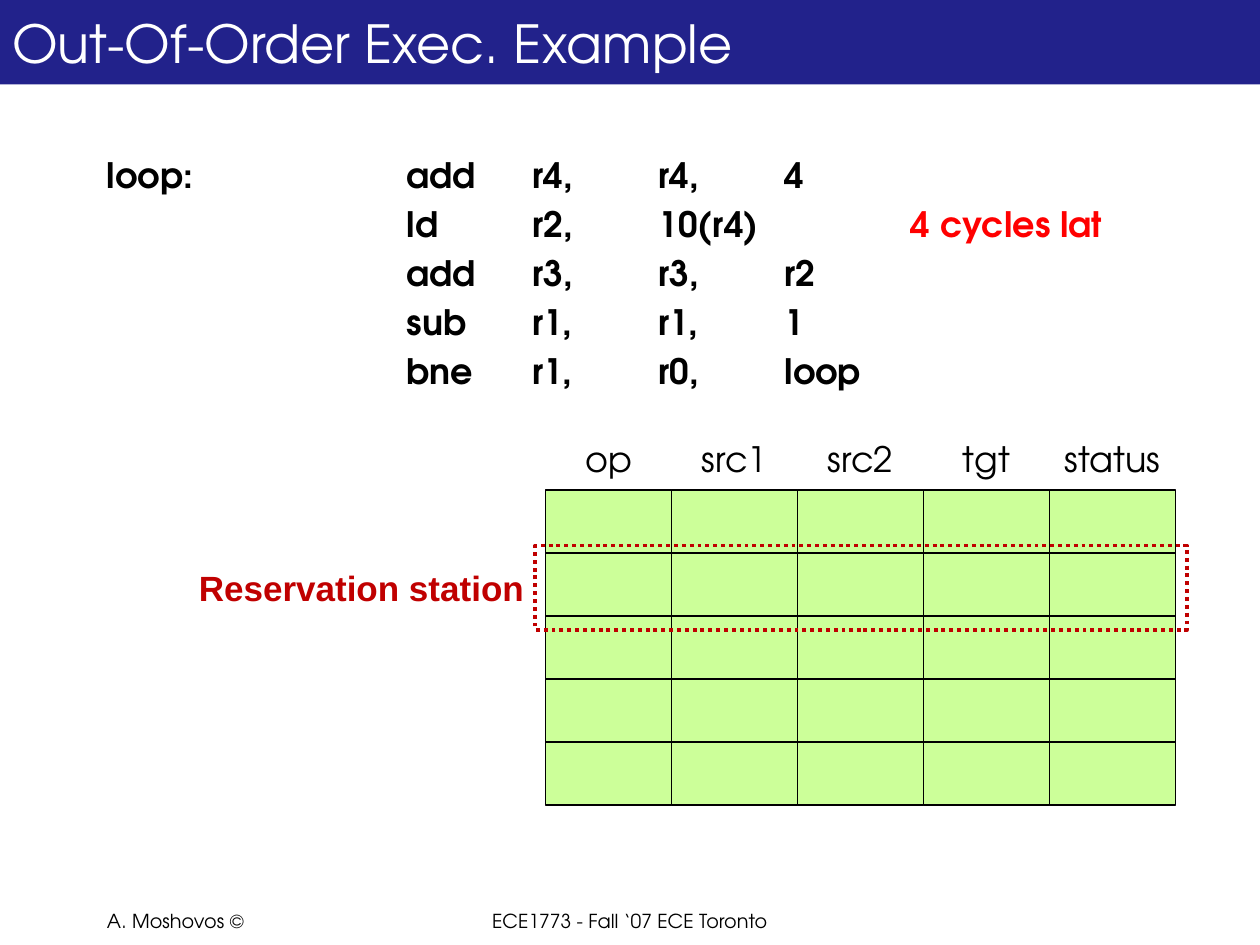
"""Build the out-of-order execution slide: a code loop above a reservation station grid."""
from dataclasses import dataclass

from lxml.etree import SubElement
from pptx import Presentation
from pptx.dml.color import RGBColor
from pptx.enum.dml import MSO_LINE
from pptx.enum.shapes import MSO_SHAPE
from pptx.enum.text import MSO_ANCHOR, PP_ALIGN
from pptx.oxml.ns import qn
from pptx.util import Inches, Pt


@dataclass(frozen=True)
class Theme:
    font: str = "TeX Gyre Adventor"
    label_font: str = "Arial"
    title_size: int = 30
    body_size: int = 20
    footer_size: int = 11
    ink: str = "000000"
    paper: str = "FFFFFF"
    banner: str = "22228B"
    cell: str = "CCFF99"
    latency: str = "FF0000"
    station: str = "C00000"


THEME = Theme()


@dataclass(frozen=True)
class Box:
    left: float
    top: float
    width: float
    height: float

    def lengths(self) -> tuple:
        return tuple(Inches(value) for value in (self.left, self.top, self.width, self.height))


@dataclass(frozen=True)
class Label:
    text: str
    box: Box
    size: int = THEME.body_size
    color: str = THEME.ink
    font: str = THEME.font
    bold: bool = False
    align: PP_ALIGN = PP_ALIGN.LEFT
    anchor: MSO_ANCHOR = MSO_ANCHOR.TOP
    wrap: bool = True


@dataclass(frozen=True)
class Instruction:
    code: str
    note: str = ""


INSTRUCTIONS = (
    Instruction("loop:\t\tadd\tr4,\tr4,\t4"),
    Instruction("\t\t\tld\tr2,\t10(r4)\t\t", "4 cycles lat"),
    Instruction("\t\t\tadd\tr3,\tr3,\tr2"),
    Instruction("\t\t\tsub\tr1,\tr1,\t1"),
    Instruction("\t\t\tbne\tr1,\tr0,\tloop"),
)
CODE_BOX = Box(0.75, 1.17, 8.5, 1.7)
FIRST_TAB, TAB_STEP, TAB_COUNT = 0.38, 1, 7

FIELDS = ("op", "src1", "src2", "tgt", "status")
ENTRY_COUNT = 5
GRID_LEFT, GRID_TOP = 4.33, 3.89
CELL_WIDTH, CELL_HEIGHT = 1, 0.5


def style_paragraph(paragraph, size: int, color: str, font: str, bold: bool) -> None:
    paragraph.font.size = Pt(size)
    paragraph.font.name = font
    paragraph.font.bold = bold
    paragraph.font.color.rgb = RGBColor.from_string(color)


def fill_label(shape, label: Label) -> None:
    frame = shape.text_frame
    frame.word_wrap = label.wrap
    frame.vertical_anchor = label.anchor
    paragraph = frame.paragraphs[0]
    paragraph.text = label.text
    paragraph.alignment = label.align
    style_paragraph(paragraph, label.size, label.color, label.font, label.bold)


def add_label(slide, label: Label) -> None:
    fill_label(slide.shapes.add_textbox(*label.box.lengths()), label)


def add_rectangle(shapes, box: Box, fill: str = "", line: str = "", line_width: float = 0.75):
    shape = shapes.add_shape(MSO_SHAPE.RECTANGLE, *box.lengths())
    shape.shadow.inherit = False
    if fill:
        shape.fill.solid()
        shape.fill.fore_color.rgb = RGBColor.from_string(fill)
    else:
        shape.fill.background()
    if line:
        shape.line.color.rgb = RGBColor.from_string(line)
        shape.line.width = Pt(line_width)
    else:
        shape.line.fill.background()
    return shape


def add_tab_stops(paragraph) -> None:
    tab_list = SubElement(paragraph._p.get_or_add_pPr(), qn("a:tabLst"))
    for index in range(TAB_COUNT):
        position = Inches(FIRST_TAB + index * TAB_STEP)
        SubElement(tab_list, qn("a:tab"), pos=str(position), algn="l")


def add_code(slide) -> None:
    frame = slide.shapes.add_textbox(*CODE_BOX.lengths()).text_frame
    frame.word_wrap = True
    for index, instruction in enumerate(INSTRUCTIONS):
        paragraph = frame.add_paragraph() if index else frame.paragraphs[0]
        add_tab_stops(paragraph)
        if index:
            paragraph.space_before = Pt(4)
        paragraph.add_run().text = instruction.code
        style_paragraph(paragraph, THEME.body_size, THEME.ink, THEME.font, True)
        if instruction.note:
            note = paragraph.add_run()
            note.text = instruction.note
            note.font.color.rgb = RGBColor.from_string(THEME.latency)


def add_grid(slide) -> None:
    lefts = [GRID_LEFT + column * CELL_WIDTH for column in range(len(FIELDS))]
    for field, left in zip(FIELDS, lefts):
        box = Box(left, GRID_TOP - CELL_HEIGHT, CELL_WIDTH, CELL_HEIGHT)
        add_label(slide, Label(field, box, align=PP_ALIGN.CENTER,
                               anchor=MSO_ANCHOR.MIDDLE, wrap=False))
    for row in range(ENTRY_COUNT):
        entry = slide.shapes.add_group_shape()
        for left in lefts:
            box = Box(left, GRID_TOP + row * CELL_HEIGHT, CELL_WIDTH, CELL_HEIGHT)
            add_rectangle(entry.shapes, box, THEME.cell, THEME.ink)


def main() -> None:
    presentation = Presentation()
    presentation.slide_width, presentation.slide_height = Inches(10), Inches(7.5)
    slide = presentation.slides.add_slide(presentation.slide_layouts[6])

    add_label(slide, Label("A. Moshovos ©", Box(0.75, 7.17, 2.08, 0.42), THEME.footer_size))
    add_label(slide, Label("ECE1773 - Fall ‘07 ECE Toronto", Box(3.25, 7.17, 3.5, 0.42),
                           THEME.footer_size, align=PP_ALIGN.CENTER))
    title = Label("Out-Of-Order Exec. Example", Box(0, 0, 10, 0.67), THEME.title_size,
                  THEME.paper, anchor=MSO_ANCHOR.MIDDLE)
    fill_label(add_rectangle(slide.shapes, title.box, THEME.banner), title)
    add_code(slide)
    add_grid(slide)
    highlight = add_rectangle(slide.shapes, Box(4.25, 4.33, 5.17, 0.67),
                              line=THEME.station, line_width=2.25)
    highlight.line.dash_style = MSO_LINE.ROUND_DOT
    add_label(slide, Label("Reservation station", Box(1.48, 4.45, 2.8, 0.44),
                           color=THEME.station, font=THEME.label_font, bold=True, wrap=False))
    presentation.save("out.pptx")


if __name__ == "__main__":
    main()
